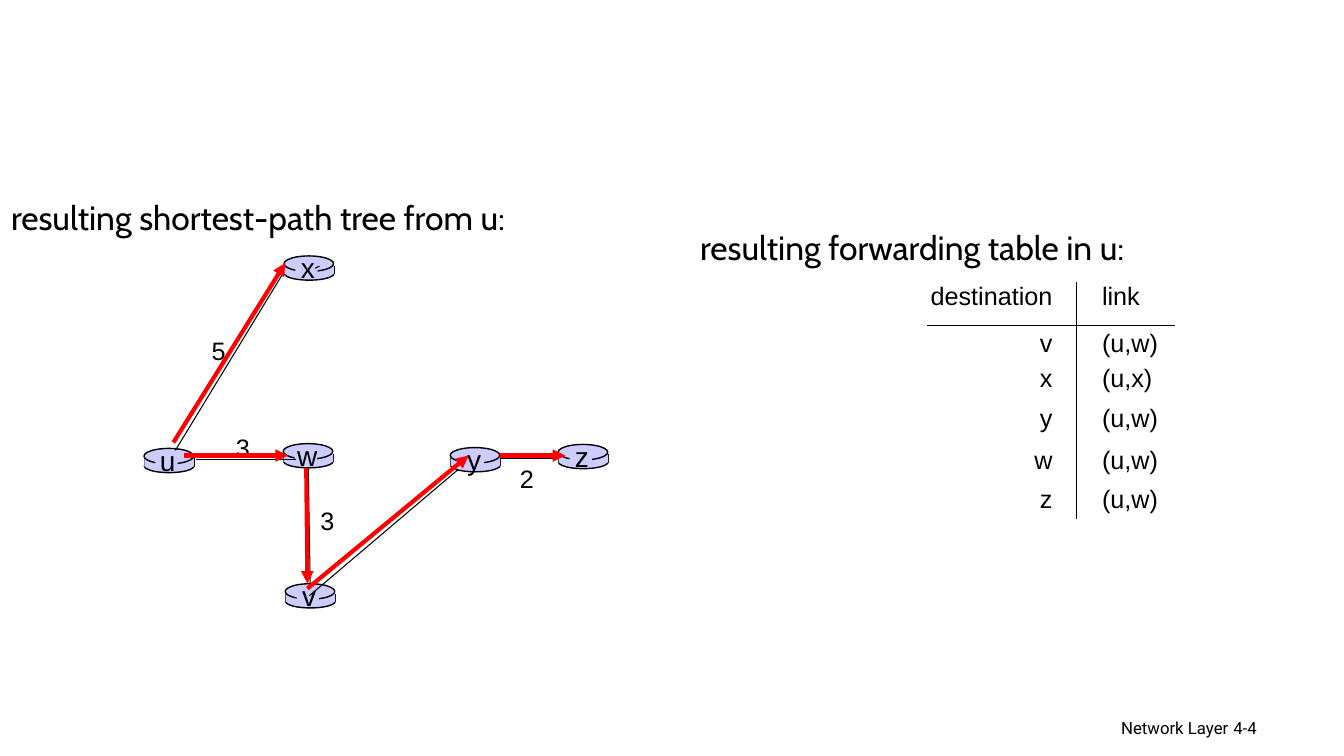
from dataclasses import dataclass
from lxml import etree
from pptx import Presentation, util as u
from pptx.dml.color import RGBColor
from pptx.enum import shapes, text
from pptx.oxml import ns


@dataclass(frozen=True)
class Theme:
    ink: str = "000000"
    router: str = "CCCCFF"
    path_red: str = "FF0000"
    mark: str = "00CC99"
    heading_font: str = "Cabin"
    body_font: str = "Arial"
    footer_font: str = "Roboto"
    heading: int = 24
    node: int = 20
    body: int = 18
    footer: int = 12
    hairline: float = 0.75
    outline: float = 1
    arrow: float = 3


THEME = Theme()
ALIGN = text.PP_ALIGN

HEADINGS = [
    ("resulting shortest-path tree from u:", (0.03, 4.83, 14.6, 1.27)),
    ("resulting forwarding table in u:", (17.4, 5.59, 12.85, 1.27)),
]
FOOTERS = [
    ("Network Layer", (20.5, 17.96, 10.72, 0.79), ALIGN.RIGHT),
    ("4-4", (30.84, 17.96, 2.51, 0.76), ALIGN.LEFT),
]
NEAR_ROUTERS = {"w": (7.14, 11.18), "v": (7.19, 14.71), "x": (7.16, 6.45), "u": (3.63, 11.3)}
FAR_ROUTERS = {"y": (11.35, 11.28), "z": (14.07, 11.2)}
LINKS = [
    ((7.14, 6.88), (4.42, 11.35)),
    ((4.93, 11.58), (7.47, 11.58)),
    ((7.77, 11.79), (7.82, 14.73)),
    ((11.81, 11.61), (7.8, 15.01)),
    ((12.57, 11.56), (14, 11.56)),
]
COSTS = [("5", 5.08, 8.33), ("3", 5.69, 10.77), ("3", 7.82, 12.62), ("2", 12.85, 11.56)]
TREE_ARROWS = [
    ((12.6, 11.48), (14.25, 11.48)),
    ((7.75, 14.83), (11.81, 11.48)),
    ((7.72, 11.79), (7.75, 14.71)),
    ((4.37, 11.15), (7.19, 6.63)),
    ((4.65, 11.48), (7.26, 11.48)),
]
SLIVER = [(7.95, 6.76), (8.05, 6.71), (8, 6.73)]
FORWARDING = [
    ("destination", "link", 1.09),
    ("v", "(u,w)", 0.91),
    ("x", "(u,x)", 0.86),
    ("y", "(u,w)", 1.14),
    ("w", "(u,w)", 0.99),
    ("z", "(u,w)", 0.97),
]
TABLE_AT = (23.37, 7.11)
COLUMN_WIDTHS = (3.76, 2.49)

ROUTER_WIDTH = 1.25
ROUTER_SIDE = (0.25, 0.46)


def cm(*lengths):
    return [u.Cm(length) for length in lengths]


def write(frame, content, *, size=THEME.body, font=THEME.body_font, align=ALIGN.LEFT):
    paragraph = frame.paragraphs[0]
    paragraph.alignment = align
    run = paragraph.add_run()
    run.text = content
    run.font.size = u.Pt(size)
    run.font.name = font
    run.font.color.rgb = RGBColor.from_string(THEME.ink)


def add_label(slide, content, box, wrap=False, **style):
    frame = slide.shapes.add_textbox(*cm(*box)).text_frame
    frame.word_wrap = wrap
    frame.auto_size = text.MSO_AUTO_SIZE.NONE if wrap else text.MSO_AUTO_SIZE.SHAPE_TO_FIT_TEXT
    write(frame, content, **style)


def paint(shape, fill, line_width=None):
    shape.shadow.inherit = False
    shape.fill.solid()
    shape.fill.fore_color.rgb = RGBColor.from_string(fill)
    if line_width:
        shape.line.color.rgb = RGBColor.from_string(THEME.ink)
        shape.line.width = u.Pt(line_width)
    else:
        shape.line.fill.background()


def add_line(slide, start, end, color=THEME.ink, width=THEME.hairline, arrow=False):
    line = slide.shapes.add_connector(shapes.MSO_CONNECTOR.STRAIGHT, *cm(*start, *end))
    line.line.color.rgb = RGBColor.from_string(color)
    line.line.width = u.Pt(width)
    if arrow:
        etree.SubElement(line.line._get_or_add_ln(), ns.qn("a:tailEnd"), type="triangle")
    etree.SubElement(line._element.spPr, ns.qn("a:effectLst"))


def add_router(slide, name, left, top):
    def part(kind, dx, dy, width, height, line_width=None):
        shape = slide.shapes.add_shape(kind, *cm(left + dx, top + dy, width, height))
        paint(shape, THEME.router, line_width)

    oval, block = shapes.MSO_SHAPE.OVAL, shapes.MSO_SHAPE.RECTANGLE
    side_top, side_bottom = ROUTER_SIDE
    part(oval, 0.01, 0.28, ROUTER_WIDTH, 0.33, THEME.outline)
    for x in (left + 0.01, left + 0.01 + ROUTER_WIDTH):
        add_line(slide, (x, top + side_top), (x, top + side_bottom), width=THEME.outline)
    part(block, 0.01, side_top, ROUTER_WIDTH, side_bottom - side_top)
    part(oval, 0, 0, ROUTER_WIDTH, 0.39, THEME.outline)
    part(block, 0.29, 0.13, 0.56, 0.43)
    add_label(slide, name, (left + 0.1, top - 0.25, 1, 1.12), size=THEME.node, align=ALIGN.CENTER)


def set_borders(cell, visible):
    properties = cell._tc.get_or_add_tcPr()
    for side in "LRTB":
        border = etree.SubElement(properties, ns.qn(f"a:ln{side}"), w=str(u.Pt(THEME.hairline)))
        if side in visible:
            fill = etree.SubElement(border, ns.qn("a:solidFill"))
            etree.SubElement(fill, ns.qn("a:srgbClr"), val=THEME.ink)
        else:
            etree.SubElement(border, ns.qn("a:noFill"))


def add_forwarding_table(slide):
    height = sum(row[-1] for row in FORWARDING)
    table = slide.shapes.add_table(
        len(FORWARDING), len(COLUMN_WIDTHS), *cm(*TABLE_AT, sum(COLUMN_WIDTHS), height)
    ).table
    table.first_row = table.horz_banding = False
    for column, width in zip(table.columns, COLUMN_WIDTHS):
        column.width = u.Cm(width)
    for r, (*entries, row_height) in enumerate(FORWARDING):
        table.rows[r].height = u.Cm(row_height)
        for c, entry in enumerate(entries):
            cell = table.cell(r, c)
            set_borders(cell, "RL"[c] + {0: "B", 1: "T"}.get(r, ""))
            cell.fill.background()
            cell.margin_top = cell.margin_bottom = 0
            cell.margin_left, cell.margin_right = cm(*((0, 0.6), (0.65, 0))[c])
            cell.vertical_anchor = text.MSO_ANCHOR.MIDDLE if r else text.MSO_ANCHOR.TOP
            write(cell.text_frame, entry, align=(ALIGN.RIGHT, ALIGN.LEFT)[c])


def add_tree(slide):
    for name, place in NEAR_ROUTERS.items():
        add_router(slide, name, *place)
    for cost, left, top in COSTS:
        add_label(slide, cost, (left, top, 0.86, 1.02), align=ALIGN.CENTER)
    for start, end in LINKS:
        add_line(slide, start, end)
    for name, place in FAR_ROUTERS.items():
        add_router(slide, name, *place)
    first, *others = [cm(*point) for point in SLIVER]
    outline = slide.shapes.build_freeform(*first)
    outline.add_line_segments(others, close=True)
    paint(outline.convert_to_shape(), THEME.mark, THEME.hairline)
    for start, end in TREE_ARROWS:
        add_line(slide, start, end, THEME.path_red, THEME.arrow, arrow=True)


def main():
    deck = Presentation()
    deck.slide_width, deck.slide_height = cm(33.88, 19.05)
    slide = deck.slides.add_slide(deck.slide_layouts[6])
    for content, box, align in FOOTERS:
        add_label(slide, content, box, wrap=True, size=THEME.footer, font=THEME.footer_font, align=align)
    add_tree(slide)
    add_forwarding_table(slide)
    for content, box in HEADINGS:
        add_label(slide, content, box, wrap=True, size=THEME.heading, font=THEME.heading_font)
    deck.save("out.pptx")


if __name__ == "__main__":
    main()
